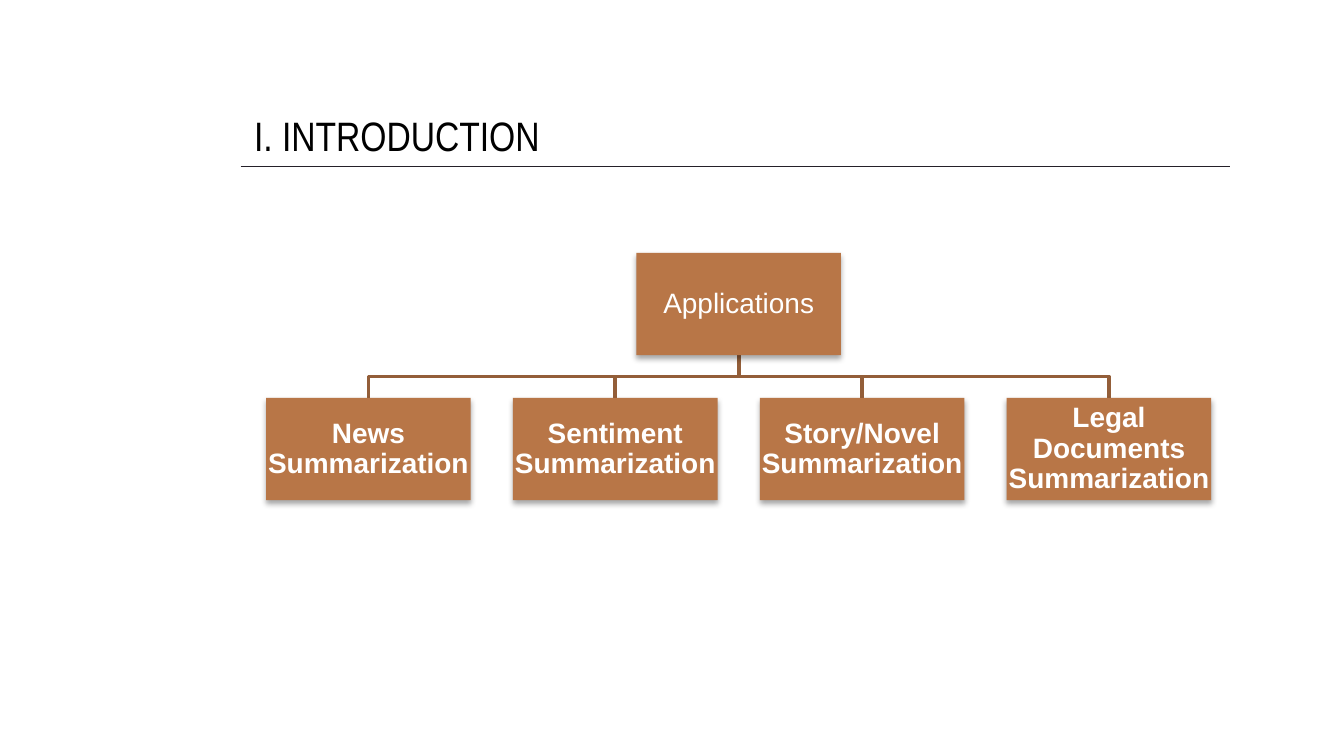
"""Build the introduction slide with a tree of summarization applications."""
from lxml import etree
from pptx import Presentation
from pptx import util as u
from pptx.dml import color
from pptx.enum import shapes, text
from pptx.oxml import ns

COLORS = {"ink": "000000", "rule": "242029", "link": "935E39",
          "box": "B87647", "label": "FFFFFF"}
APPLICATIONS = ["News Summarization", "Sentiment Summarization",
                "Story/Novel Summarization", "Legal Documents Summarization"]
BOX_W, BOX_H = 109.6, 54.8
ROOT_TOP, CHILD_TOP = 135.5, 213.2
FIRST_X, PITCH = 197.4, 132.25


def rgb(name):
    return color.RGBColor.from_string(COLORS[name])


def write(tf, content, size, font, ink, bold=False, align=text.PP_ALIGN.LEFT,
          anchor=text.MSO_ANCHOR.TOP, spacing=1.0):
    tf.word_wrap = True
    tf.vertical_anchor = anchor
    p = tf.paragraphs[0]
    p.alignment, p.line_spacing = align, spacing
    r = p.add_run()
    r.text = content
    r.font.size, r.font.name, r.font.bold = u.Pt(size), font, bold
    r.font.color.rgb = rgb(ink)


def set_effects(sp, shadow=False):
    spPr = sp._element.spPr
    for old in spPr.findall(ns.qn("a:effectLst")):
        spPr.remove(old)
    effects = etree.SubElement(spPr, ns.qn("a:effectLst"))
    if shadow:
        outer = etree.SubElement(
            effects, ns.qn("a:outerShdw"), blurRad=str(u.Pt(3.1)),
            dist=str(u.Pt(1.8)), dir="5400000", rotWithShape="0")
        black = etree.SubElement(outer, ns.qn("a:srgbClr"), val=COLORS["ink"])
        etree.SubElement(black, ns.qn("a:alpha"), val="35000")


def add_title(s, content):
    sp = s.shapes.title
    sp.left, sp.top, sp.width, sp.height = map(u.Pt, (128.9, 55.4, 498.2, 33.8))
    write(sp.text_frame, content, 22, "Arial Narrow", "ink")
    sp.text_frame.auto_size = text.MSO_AUTO_SIZE.SHAPE_TO_FIT_TEXT


def add_rule(s, left, right, y):
    sp = s.shapes.add_connector(shapes.MSO_CONNECTOR.STRAIGHT,
                                *map(u.Pt, (left, y, right, y)))
    sp.line.color.rgb, sp.line.width = rgb("rule"), u.Pt(0.75)
    set_effects(sp)


def add_link(s, root_x, child_x):
    top = ROOT_TOP + BOX_H
    middle = (top + CHILD_TOP) / 2
    points = [(root_x, middle), (child_x, middle), (child_x, CHILD_TOP)]
    builder = s.shapes.build_freeform(u.Pt(root_x), u.Pt(top))
    builder.add_line_segments([(u.Pt(x), u.Pt(y)) for x, y in points], close=False)
    sp = builder.convert_to_shape()
    sp.fill.background()
    sp.line.color.rgb, sp.line.width = rgb("link"), u.Pt(2)
    set_effects(sp)


def add_box(s, content, x, top, bold):
    sp = s.shapes.add_shape(shapes.MSO_SHAPE.RECTANGLE,
                            *map(u.Pt, (x - BOX_W / 2, top, BOX_W, BOX_H)))
    sp.fill.solid()
    sp.fill.fore_color.rgb = rgb("box")
    sp.line.fill.background()
    set_effects(sp, shadow=True)
    tf = sp.text_frame
    tf.margin_left = tf.margin_right = tf.margin_top = tf.margin_bottom = u.Pt(0.75)
    write(tf, content, 15, "Arial", "label", bold=bold, spacing=0.9,
          align=text.PP_ALIGN.CENTER, anchor=text.MSO_ANCHOR.MIDDLE)


def main():
    prs = Presentation()
    prs.slide_width, prs.slide_height = u.Pt(720), u.Pt(405)
    s = prs.slides.add_slide(prs.slide_layouts.get_by_name("Title Only"))
    add_rule(s, 128.9, 658.8, 89.3)
    add_title(s, "I. INTRODUCTION")
    centers = [FIRST_X + i * PITCH for i in range(len(APPLICATIONS))]
    root_x = (centers[0] + centers[-1]) / 2
    for x in centers:
        add_link(s, root_x, x)
    add_box(s, "Applications", root_x, ROOT_TOP, bold=False)
    for x, name in zip(centers, APPLICATIONS):
        add_box(s, name, x, CHILD_TOP, bold=True)
    prs.save("out.pptx")


if __name__ == "__main__":
    main()
